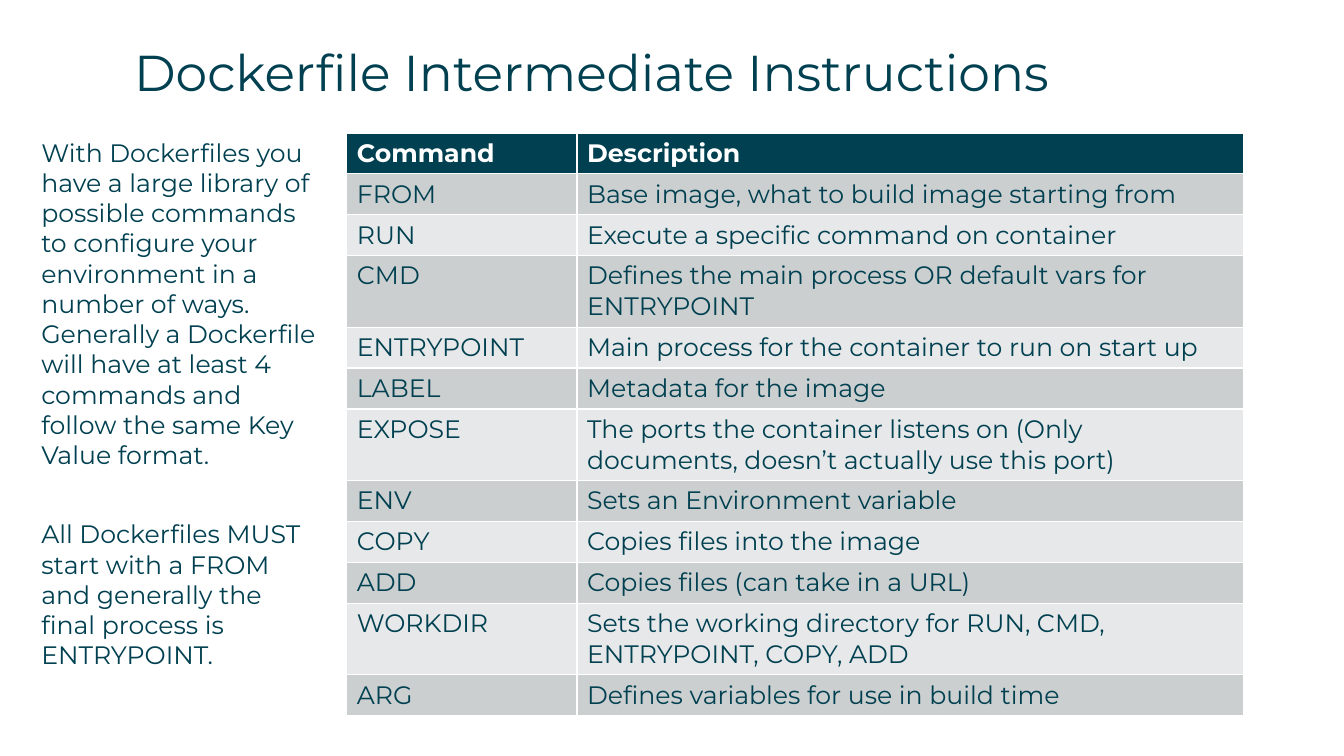
from dataclasses import dataclass

import pptx
import pptx.dml.color
import pptx.enum.text
import pptx.oxml
import pptx.oxml.ns
import pptx.util
from pptx.util import Cm, Pt


@dataclass(frozen=True)
class Theme:
    font: str = "Montserrat"
    ink: str = "004050"
    paper: str = "FFFFFF"
    bands: tuple = ("CCCFD0", "E7E8E9")
    heading_size: int = 36
    text_size: int = 18


THEME = Theme()

HEADING = "Dockerfile Intermediate Instructions"
OVERVIEW = [
    "With Dockerfiles you have a large library of possible commands to configure "
    "your environment in a number of ways. Generally a Dockerfile will have at "
    "least 4 commands and follow the same Key Value format.",
    "All Dockerfiles MUST start with a FROM and generally the final process is ENTRYPOINT.",
]
INSTRUCTIONS = [
    ("Command", "Description"),
    ("FROM", "Base image, what to build image starting from"),
    ("RUN", "Execute a specific command on container"),
    ("CMD", "Defines the main process OR default vars for ENTRYPOINT"),
    ("ENTRYPOINT", "Main process for the container to run on start up"),
    ("LABEL", "Metadata for the image"),
    ("EXPOSE", "The ports the container listens on (Only documents, doesn’t actually use this port)"),
    ("ENV", "Sets an Environment variable"),
    ("COPY", "Copies files into the image"),
    ("ADD", "Copies files (can take in a URL)"),
    ("WORKDIR", "Sets the working directory for RUN, CMD, ENTRYPOINT, COPY, ADD"),
    ("ARG", "Defines variables for use in build time"),
]


def rgb(value):
    return pptx.dml.color.RGBColor.from_string(value)


def apply(target, values):
    """Set each named attribute of target."""
    for name, value in values.items():
        setattr(target, name, value)


def style_font(font, size, color, bold=False):
    apply(font, {"name": THEME.font, "size": Pt(size), "bold": bold})
    font.color.rgb = rgb(color)


def remove_bullet(paragraph):
    properties = paragraph._p.get_or_add_pPr()
    properties.set("marL", "0")
    properties.set("indent", "0")
    properties.append(pptx.oxml.parse_xml(
        f'<a:buNone {pptx.oxml.ns.nsdecls("a")}/>'))


def fill_placeholder(placeholder, box, texts, size, gap=0):
    """Place a text placeholder and write plain left-aligned paragraphs."""
    apply(placeholder, dict(zip(("left", "top", "width", "height"), box)))
    frame = placeholder.text_frame
    frame.text = "\n".join(texts)
    apply(frame, {
        "margin_left": 0, "margin_top": 0, "margin_right": 0, "margin_bottom": 0,
        "word_wrap": True,
        "auto_size": pptx.enum.text.MSO_AUTO_SIZE.NONE,
        "vertical_anchor": pptx.enum.text.MSO_ANCHOR.TOP,
    })
    for paragraph in frame.paragraphs:
        apply(paragraph, {
            "alignment": pptx.enum.text.PP_ALIGN.LEFT,
            "space_before": Pt(0), "space_after": Pt(gap),
        })
        remove_bullet(paragraph)
        style_font(paragraph.runs[0].font, size, THEME.ink)


def add_instruction_table(slide, left, top, column_widths, row_height):
    """The default table style supplies the white rules between cells."""
    table = slide.shapes.add_table(
        len(INSTRUCTIONS), len(column_widths), left, top,
        sum(column_widths), row_height * len(INSTRUCTIONS)).table
    for column, width in zip(table.columns, column_widths):
        column.width = width
    for row_index, texts in enumerate(INSTRUCTIONS):
        is_header = row_index == 0
        fill = THEME.ink if is_header else THEME.bands[(row_index - 1) % 2]
        color = THEME.paper if is_header else THEME.ink
        table.rows[row_index].height = row_height
        for cell, text in zip(table.rows[row_index].cells, texts):
            cell.text = text
            cell.fill.solid()
            cell.fill.fore_color.rgb = rgb(fill)
            style_font(cell.text_frame.paragraphs[0].runs[0].font,
                       THEME.text_size, color, is_header)


def main():
    deck = pptx.Presentation()
    apply(deck, {"slide_width": Cm(33.87), "slide_height": Cm(19.05)})
    slide = deck.slides.add_slide(deck.slide_layouts[1])
    heading, overview = slide.placeholders
    fill_placeholder(heading, (Cm(3.38), Cm(1.04), Cm(29.44), Cm(1.45)),
                     [HEADING], THEME.heading_size)
    fill_placeholder(overview, (Cm(1.04), Cm(3.45), Cm(7.06), Cm(14.55)),
                     OVERVIEW, THEME.text_size, gap=35)
    add_instruction_table(slide, Cm(8.74), Cm(3.35), (Cm(5.8), Cm(16.8)), Cm(1.03))
    deck.save("out.pptx")


if __name__ == "__main__":
    main()
